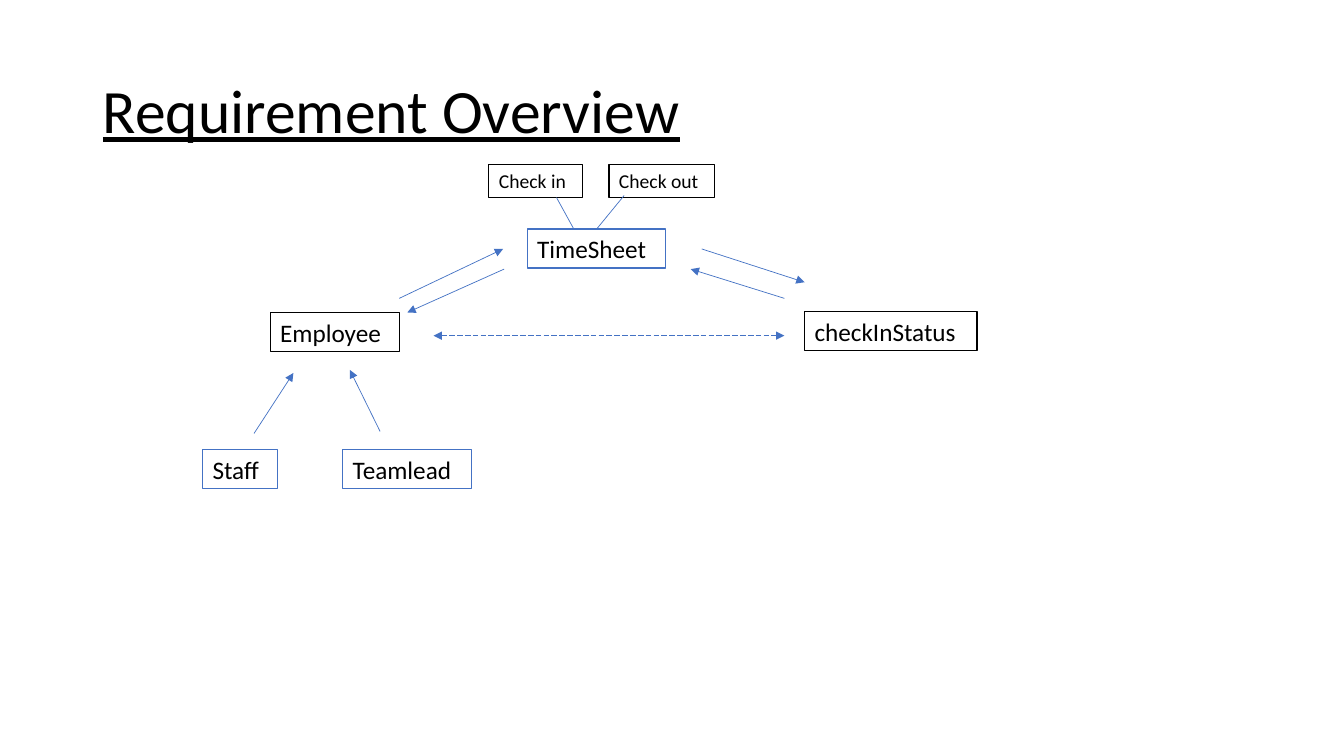
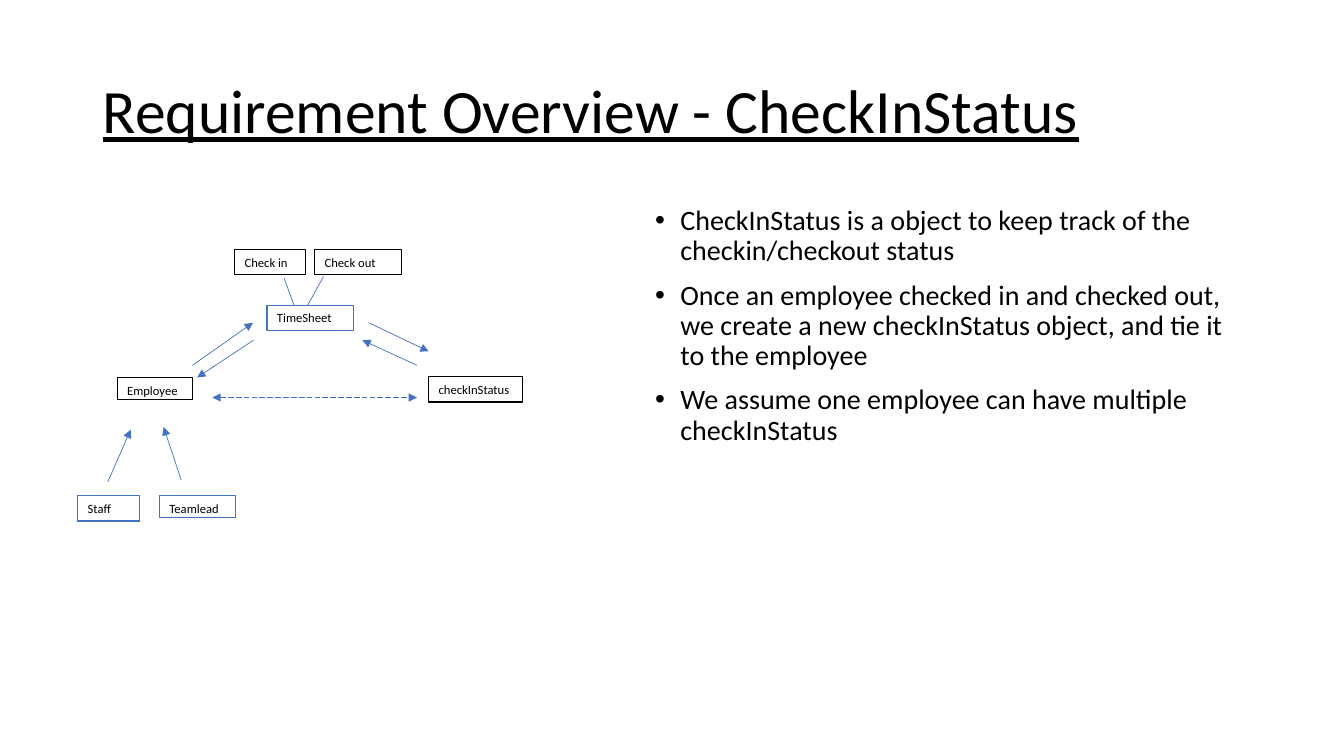
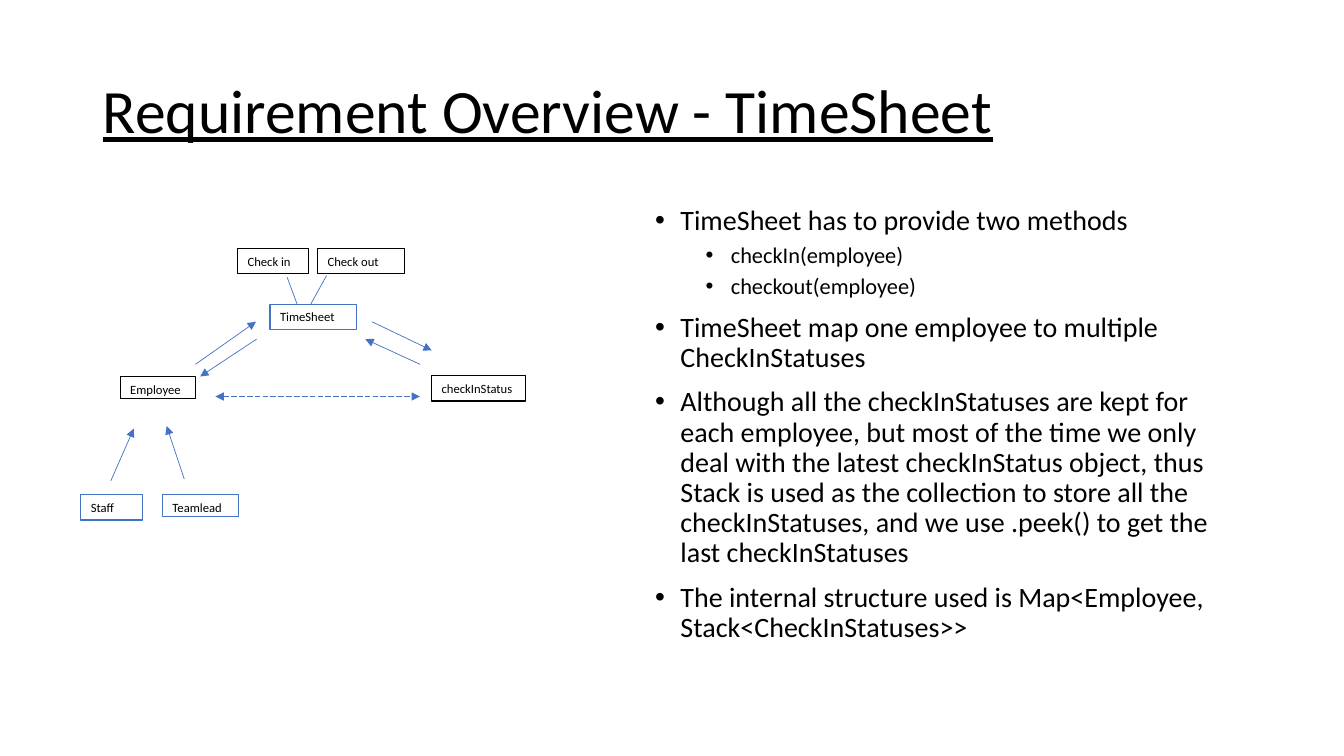
from pptx import Presentation
from pptx.dml.color import RGBColor
from pptx.enum import dml, shapes, text
from pptx.oxml.ns import qn
from pptx.util import Inches, Pt
from lxml import etree

BLACK = RGBColor(0, 0, 0)
BLUE = RGBColor(0x44, 0x72, 0xC4)
WHITE = RGBColor(255, 255, 255)
FONT = "Calibri"

# Boxes: label, left, top, width, height, text size, small width, small height,
# small nudge to the side, line colour, line width, fill
BOXES = [
    ("Staff", 2.01, 4.46, 0.74, 0.39, 18, 0.61, 0.25, 0, BLUE, 0.75, None),
    ("Employee", 2.68, 3.1, 1.28, 0.39, 18, 0.75, 0.22, 0, BLACK, 0.75, None),
    ("Teamlead", 3.4, 4.46, 1.28, 0.39, 18, 0.75, 0.22, 0, BLUE, 0.75, None),
    ("TimeSheet", 5.23, 2.27, 1.37, 0.39, 18, 0.86, 0.25, 0, BLUE, 1, WHITE),
    ("checkInStatus", 7.98, 3.09, 1.71, 0.39, 18, 0.93, 0.25, 0, BLACK, 1, WHITE),
    ("Check out", 6.04, 1.63, 1.05, 0.33, 14, 0.86, 0.25, 0, BLACK, 0.75, None),
    ("Check in", 4.85, 1.63, 0.93, 0.33, 14, 0.7, 0.25, -0.1, BLACK, 0.75, None),
]

# Lines: start, end, kind
LINES = [
    ((2.52, 4.3), (2.91, 3.7), "arrow"),
    ((3.77, 4.28), (3.47, 3.67), "arrow"),
    ((3.96, 2.96), (4.99, 2.47), "arrow"),
    ((5, 2.67), (4.04, 3.1), "arrow"),
    ((6.96, 2.47), (7.98, 2.8), "arrow"),
    ((7.78, 2.96), (6.85, 2.67), "arrow"),
    ((4.3, 3.33), (7.78, 3.33), "both"),
    ((5.52, 1.96), (5.69, 2.27), "plain"),
    ((6.19, 1.94), (5.92, 2.27), "plain"),
]
ENDS = {"plain": (), "arrow": ("a:tailEnd",), "both": ("a:headEnd", "a:tailEnd")}

# Slides: title, small diagram, diagram shift, points as (level, text)
SLIDES = [
    ("Requirement Overview", False, (0, 0), []),
    ("Requirement Overview - CheckInStatus", True, (0, 0), [
        (0, "CheckInStatus is a object to keep track of the checkin/checkout status"),
        (0, "Once an employee checked in and checked out, we create a new "
            "checkInStatus object, and tie it to the employee"),
        (0, "We assume one employee can have multiple checkInStatus"),
    ]),
    ("Requirement Overview - TimeSheet", True, (0.03, -0.01), [
        (0, "TimeSheet has to provide two methods"),
        (1, "checkIn(employee)"),
        (1, "checkout(employee)"),
        (0, "TimeSheet map one employee to multiple CheckInStatuses"),
        (0, "Although all the checkInStatuses are kept for each employee, but most "
            "of the time we only deal with the latest checkInStatus object, thus "
            "Stack is used as the collection to store all the checkInStatuses, and "
            "we use .peek() to get the last checkInStatuses"),
        (0, "The internal structure used is Map<Employee, Stack<CheckInStatuses>>"),
    ]),
]


def write(para, words, size, under=None, space=None, before=None):
    para.alignment = text.PP_ALIGN.LEFT
    if space:
        para.line_spacing = space
    if before is not None:
        para.space_before = Pt(before)
    run = para.add_run()
    run.text = words
    font = run.font
    font.name, font.size, font.underline = FONT, Pt(size), under
    font.color.rgb = BLACK


def add_title(slide, words):
    title = slide.shapes.title
    title.left, title.top = Inches(0.92), Inches(0.4)
    title.width, title.height = Inches(11.5), Inches(1.45)
    frame = title.text_frame
    frame.word_wrap = True
    frame.vertical_anchor = text.MSO_ANCHOR.MIDDLE
    write(frame.paragraphs[0], words, 44, under=True, space=0.9)


def add_points(slide, points):
    body = slide.shapes.add_textbox(Inches(6.4), Inches(2), Inches(6.02), Inches(4.76))
    frame = body.text_frame
    frame.word_wrap = True
    for i, (level, words) in enumerate(points):
        para = frame.add_paragraph() if i else frame.paragraphs[0]
        para.level = level
        write(para, words, 16 if level else 20, space=0.9, before=5 if level else 10)
        # Hanging bullet
        props = para._p.get_or_add_pPr()
        props.set("marL", str(Inches(0.25 + 0.5 * level)))
        props.set("indent", str(-Inches(0.25)))
        etree.SubElement(props, qn("a:buFont")).set("typeface", "Arial")
        etree.SubElement(props, qn("a:buChar")).set("char", "•")


def add_box(slide, words, spot, size, points, color, weight, fill):
    box = slide.shapes.add_shape(shapes.MSO_SHAPE.RECTANGLE,
                                 *map(Inches, spot + size))
    box.shadow.inherit = False
    box.line.color.rgb, box.line.width = color, Pt(weight)
    if fill is None:
        box.fill.background()
    else:
        box.fill.solid()
        box.fill.fore_color.rgb = fill
    frame = box.text_frame
    frame.word_wrap = True
    frame.vertical_anchor = text.MSO_ANCHOR.TOP
    write(frame.paragraphs[0], words, points)


def add_line(slide, start, end, kind):
    link = slide.shapes.add_connector(shapes.MSO_CONNECTOR.STRAIGHT,
                                      *map(Inches, start + end))
    link.line.color.rgb, link.line.width = BLUE, Pt(0.5)
    if kind == "both":
        link.line.dash_style = dml.MSO_LINE.LONG_DASH
    for tag in ENDS[kind]:
        etree.SubElement(link.line._get_or_add_ln(), qn(tag)).set("type", "triangle")
    etree.SubElement(link._element.spPr, qn("a:effectLst"))


def add_diagram(slide, small, shift):
    def place(x, y):
        # The small diagram is the large one scaled and moved
        if small:
            x, y = 0.583 * x - 0.4, 0.863 * y + 1.07
        return x + shift[0], y + shift[1]

    for words, x, y, w, h, points, sw, sh, nudge, *look in BOXES:
        left, top = place(x, y)
        if small:
            left, w, h, points = left + nudge, sw, sh, 9
        add_box(slide, words, (left, top), (w, h), points, *look)
    for start, end, kind in LINES:
        add_line(slide, place(*start), place(*end), kind)


def main():
    deck = Presentation()
    deck.slide_width, deck.slide_height = Inches(13.33), Inches(7.5)
    for title, small, shift, points in SLIDES:
        slide = deck.slides.add_slide(deck.slide_layouts[5])
        add_title(slide, title)
        add_diagram(slide, small, shift)
        if points:
            add_points(slide, points)
    deck.save("out.pptx")


if __name__ == "__main__":
    main()
